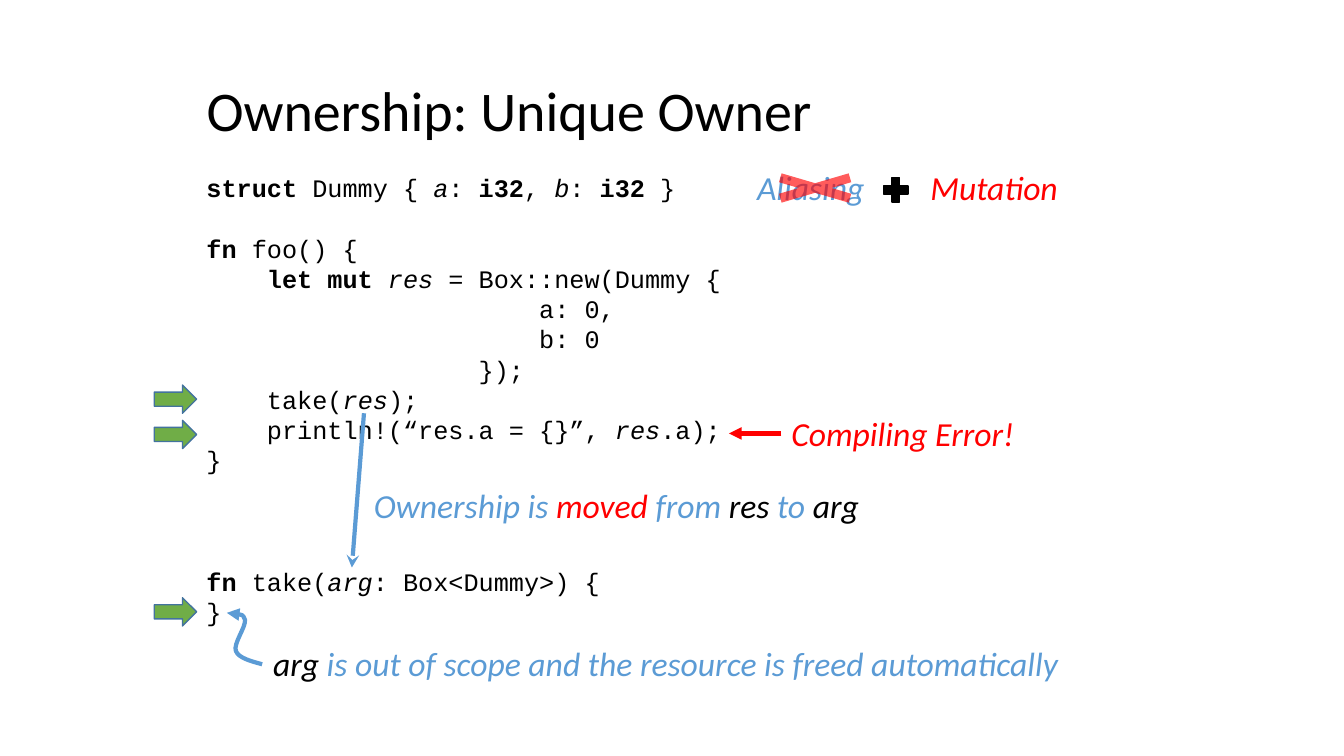
"""Build a slide on unique ownership in Rust."""
from lxml import etree
from pptx import Presentation, util as u
from pptx.dml.color import RGBColor
from pptx.enum import shapes, text
from pptx.oxml.ns import qn

HUES = {"ink": "000000", "blue": "5B9BD5", "red": "FF0000",
        "green": "70AD47", "edge": "43739E"}
SANS, MONO = "Calibri", "Courier New"
TITLE = "Ownership: Unique Owner"
ROW = 21.75

# Each code line: blank rows above, then (text, style) runs.
CODE = [
    (0, [("struct ", "b"), ("Dummy { ", ""), ("a", "i"), (": ", ""), ("i32", "b"),
         (", ", ""), ("b", "i"), (": ", ""), ("i32", "b"), (" }", "")]),
    (1, [("fn ", "b"), ("foo() {", "")]),
    (0, [("    ", ""), ("let mut ", "b"), ("res", "i"), (" = Box::new(Dummy {", "")]),
    (0, [("                      a: 0,", "")]),
    (0, [("                      b: 0", "")]),
    (0, [("                  });", "")]),
    (0, [("    take(", ""), ("res", "i"), (");", "")]),
    (0, [("    println!(“res.a = {}”, ", ""), ("res", "i"), (".a);", "")]),
    (0, [("}", "")]),
    (3, [("fn", "b"), (" take(", ""), ("arg", "i"), (": Box<Dummy>) {", "")]),
    (0, [("}", "")]),
]
NOTES = [
    ((3.61, 4.76, 5.07, 0.5), [("Ownership is ", "blue"), ("moved ", "red"),
                               ("from ", "blue"), ("res", "ink"),
                               (" to ", "blue"), ("arg", "ink")]),
    ((2.61, 6.33, 8, 0.5), [("arg", "ink"), (
        " is out of scope and the resource is freed automatically", "blue")]),
    ((7.75, 4.05, 2.44, 0.5), [("Compiling Error!", "red")]),
    ((7.41, 1.61, 1.28, 0.5), [("Aliasing", "blue")]),
    ((9.13, 1.61, 1.48, 0.5), [("Mutation", "red")]),
]
STEPS = [3.82, 4.17, 5.93]
LINKS = [((3.61, 4.1), (3.49, 5.63), "blue", "stealth"),
         ((7.75, 4.3), (7.23, 4.3), "red", "triangle")]
CURVE = [(2.6, 6.59), (2.49, 6.56), (2.37, 6.53), (2.34, 6.46), (2.31, 6.39),
         (2.44, 6.22), (2.43, 6.15), (2.41, 6.09), (2.33, 6.08), (2.25, 6.08)]

prs = Presentation()
prs.slide_width, prs.slide_height = u.Inches(13.33), u.Inches(7.5)
page = prs.slides.add_slide(prs.slide_layouts[6]).shapes


def tint(name):
    return RGBColor.from_string(HUES[name])


def put(obj, **vals):
    for key, val in vals.items():
        setattr(obj, key, val)


def frame(spot, wrap=True, anchor=text.MSO_ANCHOR.TOP):
    body = page.add_textbox(*map(u.Inches, spot)).text_frame
    put(body, word_wrap=wrap, vertical_anchor=anchor)
    return body


def write(para, words, hue, **font):
    run = para.add_run()
    run.text = words
    put(run.font, **font)
    run.font.color.rgb = tint(hue)


def stroke(shape, hue, width, head=None):
    shape.line.color.rgb = tint(hue)
    shape.line.width = u.Pt(width)
    if head:
        line = shape.element.spPr.find(qn("a:ln"))
        etree.SubElement(line, qn("a:tailEnd"), type=head)


def block(kind, spot, hue, edge=None):
    shape = page.add_shape(kind, *map(u.Inches, spot))
    shape.shadow.inherit = False
    shape.fill.solid()
    shape.fill.fore_color.rgb = tint(hue)
    if edge:
        stroke(shape, edge, 1)
    else:
        shape.line.fill.background()
    return shape


def link(start, end, hue, head):
    ends = map(u.Inches, start + end)
    wire = page.add_connector(shapes.MSO_CONNECTOR.STRAIGHT, *ends)
    stroke(wire, hue, 3, head)
    etree.SubElement(wire.element.spPr, qn("a:effectLst"))


def bend(dots, hue, head):
    dots = [tuple(map(u.Inches, dot)) for dot in dots]
    pen = page.build_freeform(*dots[0])
    pen.add_line_segments(dots[1:], close=False)
    shape = pen.convert_to_shape()
    shape.shadow.inherit = False
    shape.fill.background()
    stroke(shape, hue, 3, head)
    legs = list(shape.element.iter(qn("a:lnTo")))
    for at in range(0, len(legs), 3):
        arc = etree.Element(qn("a:cubicBezTo"))
        legs[at].addprevious(arc)
        for leg in legs[at:at + 3]:
            arc.append(leg[0])
            leg.getparent().remove(leg)


def main():
    head = frame((1.95, 0.4, 8.62, 1.45), anchor=text.MSO_ANCHOR.MIDDLE).paragraphs[0]
    head.line_spacing = 0.9
    write(head, TITLE, "ink", name=SANS, size=u.Pt(40))

    body = frame((1.95, 1.66, 8.24, 4.64))
    for num, (gap, runs) in enumerate(CODE):
        para = body.add_paragraph() if num else body.paragraphs[0]
        if gap:
            para.space_before = u.Pt(gap * ROW)
        for words, style in runs:
            write(para, words, "ink", name=MONO, size=u.Pt(18),
                  bold=style == "b", italic=style == "i")

    for spot, runs in NOTES:
        para = frame(spot, wrap=False).paragraphs[0]
        for words, hue in runs:
            write(para, words, hue, name=SANS, size=u.Pt(24), italic=True)

    kinds = shapes.MSO_SHAPE
    for top in STEPS:
        block(kinds.RIGHT_ARROW, (1.53, top, 0.42, 0.28), "green", "edge")
    for wire in LINKS:
        link(*wire)
    bend(CURVE, "blue", "triangle")
    block(kinds.MATH_PLUS, (8.72, 1.72, 0.33, 0.33), "ink", "ink")
    cross = block(kinds.MATH_MULTIPLY, (7.42, 1.67, 1.33, 0.39), "red")
    shade = cross.element.spPr.find(qn("a:solidFill"))[0]
    etree.SubElement(shade, qn("a:alpha"), val="64000")
    prs.save("out.pptx")


if __name__ == "__main__":
    main()
